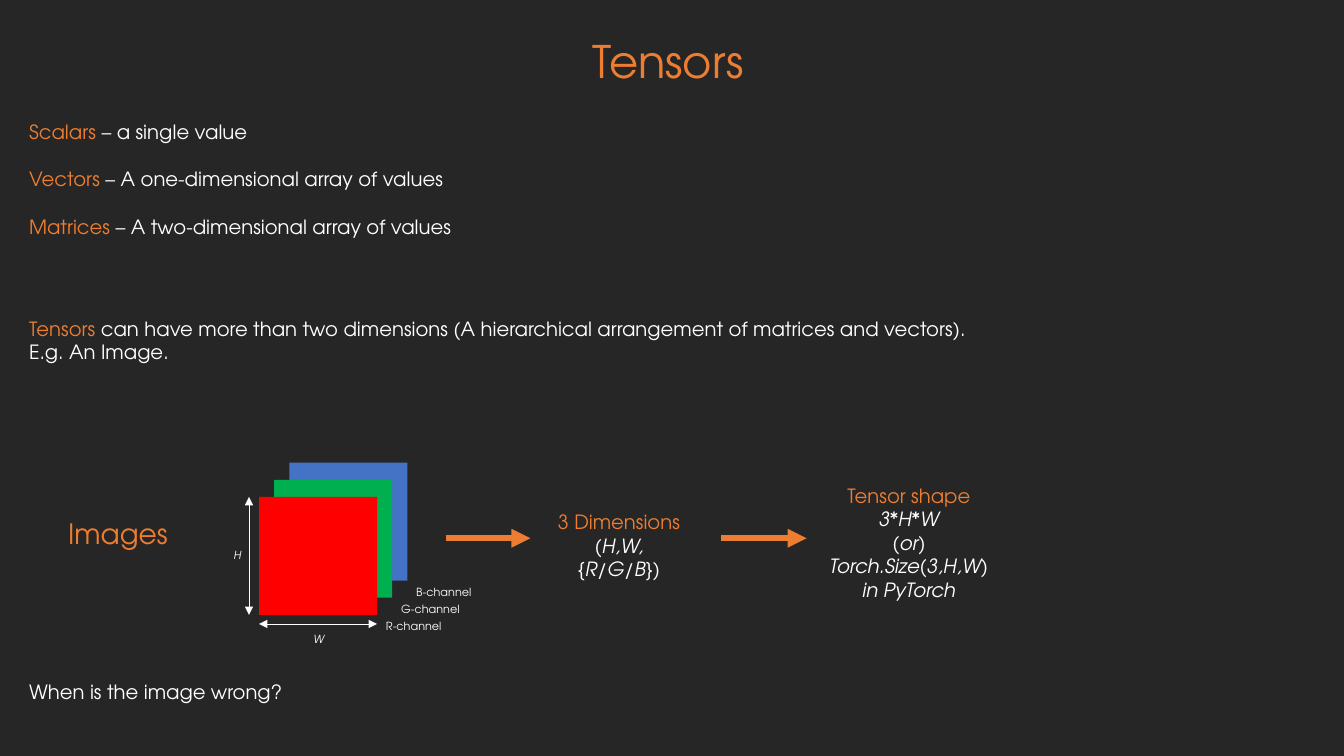
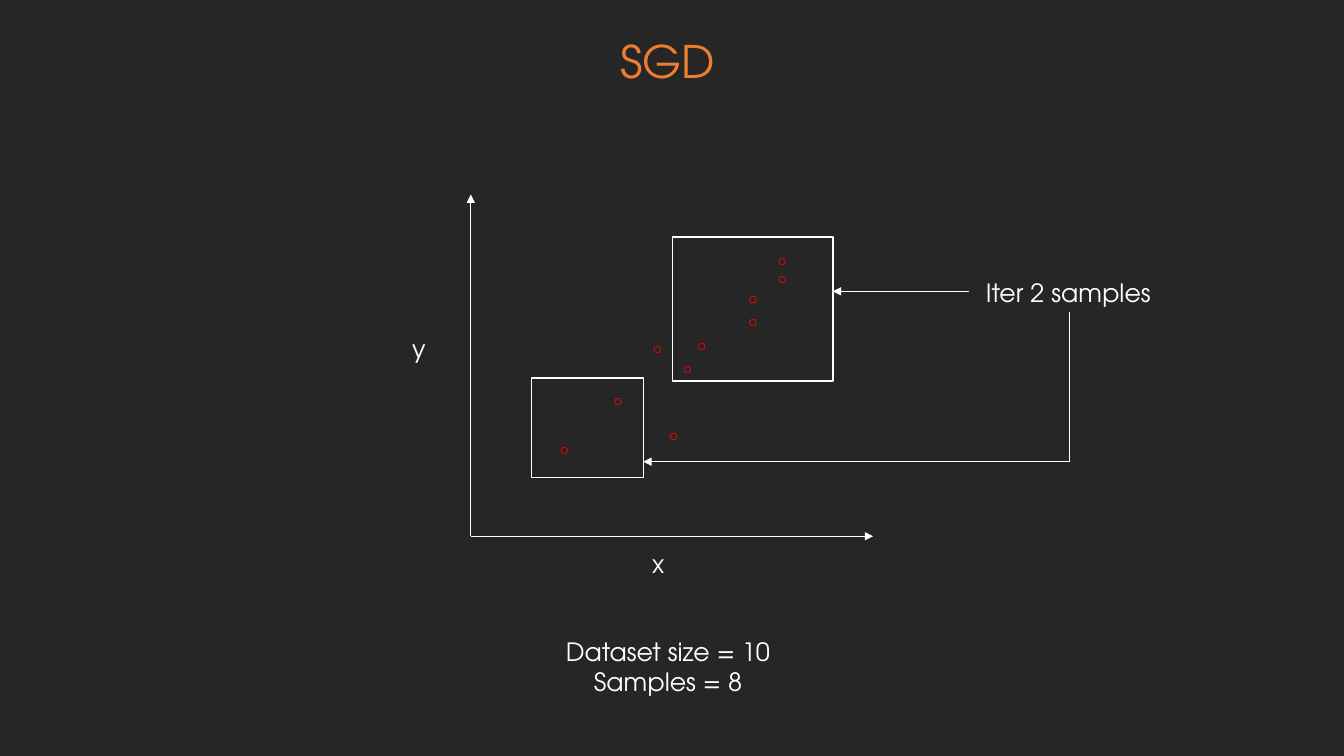
from pptx import Presentation
from pptx.dml.color import RGBColor
from pptx.enum.shapes import MSO_CONNECTOR, MSO_SHAPE
from pptx.enum.text import PP_ALIGN
from pptx.oxml.ns import qn
from pptx.util import Pt
from lxml import etree

PX = 9144  # 100 px to the inch
FONT = "TeX Gyre Adventor"
DARK = RGBColor(0x26, 0x26, 0x26)
ORANGE = RGBColor(0xED, 0x7D, 0x31)
WHITE = RGBColor(0xFF, 0xFF, 0xFF)
RED = RGBColor(0xFF, 0x00, 0x00)
GREEN = RGBColor(0x00, 0xB0, 0x50)
BLUE = RGBColor(0x44, 0x72, 0xC4)
LEFT, CENTER = PP_ALIGN.LEFT, PP_ALIGN.CENTER
RECTANGLE, STRAIGHT = MSO_SHAPE.RECTANGLE, MSO_CONNECTOR.STRAIGHT
THIN, THICK = 0.5, 4.5
BOTTOM = 2

# Tensors: content
BODY_LEFT, BODY_WIDTH = 19, 954
DEFINITIONS = [
    ("Scalars", " – a single value"),
    ("Vectors", " – A one-dimensional array of values"),
    ("Matrices", " – A two-dimensional array of values"),
]
DEFINITION_TOP, DEFINITION_STEP = 114, 47
TENSOR_TEXT = ("Tensors", " can have more than two dimensions (A hierarchical "
               "arrangement of matrices and vectors). E.g. An Image.")
QUESTION = "When is the image wrong?"
CHANNELS = [("B-channel", BLUE), ("G-channel", GREEN), ("R-channel", RED)]
CHANNEL_SIZE, CHANNEL_START, CHANNEL_STEP = 117, (287, 459), (-15, 17)
STEPS = [  # box, wraps, heading, lines below it
    ((537, 501, 154, 57), True, "3 Dimensions", ["(H,W, {R/G/B})"]),
    ((811, 475, 181, 128), False, "Tensor shape",
     ["3*H*W", "(or)", "Torch.Size(3,H,W)", "in PyTorch"]),
]
STEP_ARROWS = [(442, 526), (715, 800)]
STEP_ARROW_Y = 534

# SGD: content
ORIGIN, X_END, Y_END = (467, 532), (866, 532), (467, 193)
AXIS_NAMES = [("x", (637, 539, 32, 40)), ("y", (399, 326, 34, 40))]
POINTS = [(546, 433), (599, 385), (654, 420), (682, 330), (638, 333),
          (668, 353), (733, 284), (733, 306), (762, 246), (762, 264)]
SAMPLE_BOXES = [(667, 235, 159, 143), (527, 375, 111, 99)]
SUMMARY = ["Dataset size = 10", "Samples = 8"]


def emu(lengths):
    return [length * PX for length in lengths]


def add_text(page, box, paragraphs, size, align=LEFT, wrap=False):
    """Each paragraph is a list of (text, colour, italic) spans."""
    shape = page.shapes.add_textbox(*emu(box))
    frame = shape.text_frame
    frame.word_wrap = wrap
    for index, spans in enumerate(paragraphs):
        para = frame.add_paragraph() if index else frame.paragraphs[0]
        para.alignment = align
        for text, color, italic in spans:
            span = para.add_run()
            span.text = text
            span.font.name, span.font.size = FONT, Pt(size)
            span.font.color.rgb = color
            if italic:
                span.font.italic = True
    return shape


def add_words(page, box, text, size, color=WHITE, italic=False, **layout):
    return add_text(page, box, [[(text, color, italic)]], size, **layout)


def add_term(page, box, term, meaning):
    spans = [(term, ORANGE, False), (meaning, WHITE, False)]
    add_text(page, box, [spans], 14, wrap=True)


def add_rectangle(page, box, fill=None, line=None):
    shape = page.shapes.add_shape(RECTANGLE, *emu(box))
    shape.shadow.inherit = False
    if fill is None:
        shape.fill.background()
    else:
        shape.fill.solid()
        shape.fill.fore_color.rgb = fill
    if line is None:
        shape.line.fill.background()
    else:
        shape.line.color.rgb = line
        shape.line.width = Pt(1)


def add_line(page, start, end, color=WHITE, width=THIN, arrows=("tailEnd",)):
    line = page.shapes.add_connector(STRAIGHT, *emu(start + end))
    line.line.color.rgb = color
    line.line.width = Pt(width)
    outline = line.line._get_or_add_ln()
    for arrow in arrows:
        etree.SubElement(outline, qn("a:" + arrow), type="triangle")
    etree.SubElement(line._element.spPr, qn("a:effectLst"))
    return line


def add_page(deck, title):
    page = deck.slides.add_slide(deck.slide_layouts[6])
    add_words(page, (318, 29, 689, 64), title, 32, ORANGE, align=CENTER, wrap=True)
    return page


def build_tensors(deck):
    page = add_page(deck, "Tensors")

    # Definitions
    for index, (term, meaning) in enumerate(DEFINITIONS):
        top = DEFINITION_TOP + index * DEFINITION_STEP
        add_term(page, (BODY_LEFT, top, BODY_WIDTH, 34), term, meaning)
    add_term(page, (BODY_LEFT, 309, BODY_WIDTH, 57), *TENSOR_TEXT)
    add_words(page, (BODY_LEFT, 670, BODY_WIDTH, 34), QUESTION, 14, wrap=True)

    # Stacked image channels
    add_words(page, (57, 507, 120, 44), "Images", 20, ORANGE, align=CENTER)
    for index, (name, color) in enumerate(CHANNELS):
        left, top = (start + index * step
                     for start, step in zip(CHANNEL_START, CHANNEL_STEP))
        right, bottom = left + CHANNEL_SIZE, top + CHANNEL_SIZE
        add_rectangle(page, (left, top, CHANNEL_SIZE, CHANNEL_SIZE), color)
        add_words(page, (right - 1, bottom, 117, 24), name, 8, wrap=True)

    # Height and width of the front channel
    both_ends = ("headEnd", "tailEnd")
    add_line(page, (left - 10, top), (left - 10, bottom), arrows=both_ends)
    add_line(page, (left, bottom + 9), (right, bottom + 9), arrows=both_ends)
    add_words(page, (222, 539, 26, 24), "H", 8, italic=True, align=CENTER)
    add_words(page, (301, 622, 28, 24), "W", 8, italic=True, align=CENTER)

    # Steps from image to tensor
    for start, end in STEP_ARROWS:
        add_line(page, (start, STEP_ARROW_Y), (end, STEP_ARROW_Y), ORANGE, THICK)
    for box, wrap, heading, lines in STEPS:
        paragraphs = [[(heading, ORANGE, False)]]
        paragraphs += [[(line, WHITE, True)] for line in lines]
        add_text(page, box, paragraphs, 14, CENTER, wrap)


def build_sgd(deck):
    page = add_page(deck, "SGD")

    # Axes
    for end in (X_END, Y_END):
        add_line(page, ORIGIN, end)
    for name, box in AXIS_NAMES:
        add_words(page, box, name, 18)

    # Data points and the sampled areas
    for left, top in POINTS:
        add_words(page, (left, top, 28, 25), "o", 9, RED)
    for box in SAMPLE_BOXES:
        add_rectangle(page, box, line=WHITE)

    # Label with an arrow to each area
    label = add_words(page, (968, 270, 186, 40), "Iter 2 samples", 18)
    add_line(page, (961, 289), (826, 289))
    corner = (1061, 458)
    stem = add_line(page, (1061, 310), corner, arrows=())
    stem.begin_connect(label, BOTTOM)
    add_line(page, corner, (638, 458))

    paragraphs = [[(line, WHITE, False)] for line in SUMMARY]
    add_text(page, (551, 626, 223, 71), paragraphs, 18, CENTER)


def main():
    deck = Presentation()
    deck.slide_width, deck.slide_height = emu((1333, 750))
    background = deck.slide_master.background.fill
    background.solid()
    background.fore_color.rgb = DARK
    build_tensors(deck)
    build_sgd(deck)
    deck.save("out.pptx")


if __name__ == "__main__":
    main()
